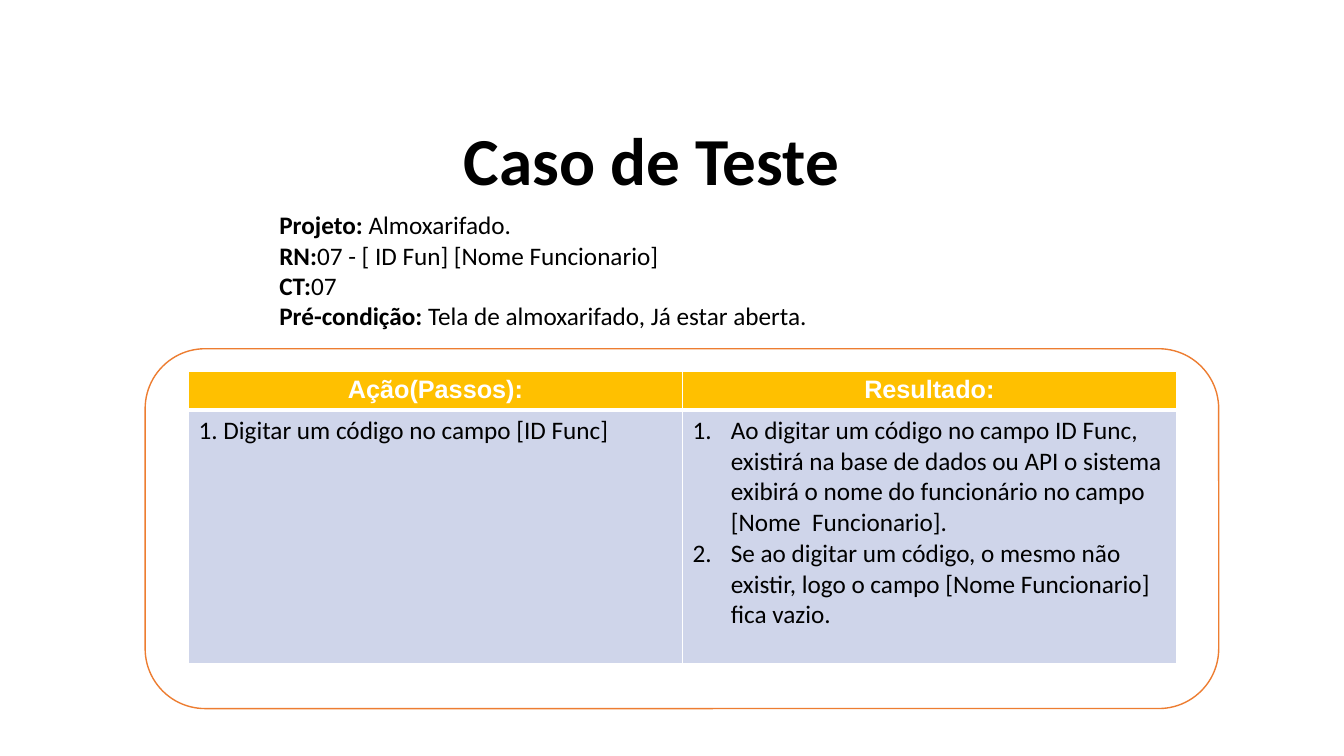
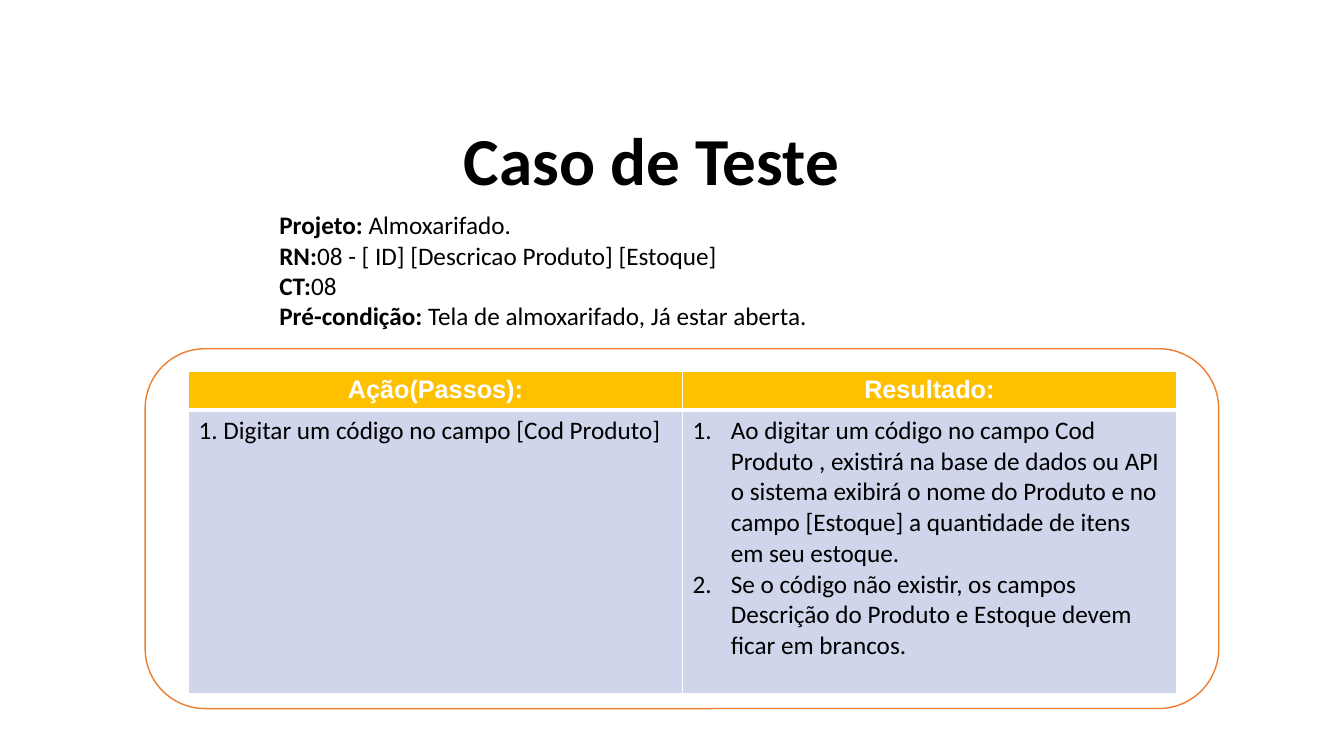
from dataclasses import dataclass

from lxml import etree
from pptx import Presentation
from pptx.dml.color import RGBColor
from pptx.enum.shapes import MSO_SHAPE
from pptx.enum.text import MSO_ANCHOR, MSO_AUTO_SIZE, PP_ALIGN
from pptx.oxml.ns import qn
from pptx.util import Inches, Pt

ROUNDED = MSO_SHAPE.ROUNDED_RECTANGLE
TOP = MSO_ANCHOR.TOP
NO_FIT = MSO_AUTO_SIZE.NONE
LEFT, CENTER = PP_ALIGN.LEFT, PP_ALIGN.CENTER

# Shared style
COLORS = {
    "white": "FFFFFF",
    "text": "000000",
    "frame": "ED7D31",
    "header": "FFC000",
    "cell": "CFD5EA",
}
TEXT_FONT, HEADER_FONT = "Calibri", "Arial"
TITLE_SIZE, TEXT_SIZE = 48, 18
WIDTH, HEIGHT = Inches(13.33), Inches(7.5)
TITLE = "Caso de Teste"
HEADERS = ("Ação(Passos):", "Resultado:")
LIST_INDENT = Inches(0.38)


@dataclass(frozen=True)
class Area:
    """Left, top, width and height as percentages of the slide."""
    x: float
    y: float
    w: float
    h: float

    def emu(self) -> tuple[int, int, int, int]:
        return (int(WIDTH * self.x / 100), int(HEIGHT * self.y / 100),
                int(WIDTH * self.w / 100), int(HEIGHT * self.h / 100))


@dataclass(frozen=True)
class TestCase:
    number: str
    fields: str
    action: str
    results: tuple[str, ...]
    body_height: float  # percentage of the slide's height


TITLE_AREA = Area(33.75, 14.93, 33.6, 12.13)
DETAILS_AREA = Area(20.03, 27.07, 63, 21.6)
FRAME_AREA = Area(10.8, 46.13, 79.88, 47.6)
TABLE_X, TABLE_Y, TABLE_W, HEADER_H = 14.03, 49.07, 73.5, 5.2

CASES = (
    TestCase(
        "07", "[ ID Fun] [Nome Funcionario]",
        "1. Digitar um código no campo [ID Func]",
        ("Ao digitar um código no campo ID Func, existirá na base de dados ou "
         "API o sistema exibirá o nome do funcionário no campo "
         "[Nome  Funcionario].",
         "Se ao digitar um código, o mesmo não existir, logo o campo "
         "[Nome Funcionario] fica vazio."),
        33.47),
    TestCase(
        "08", "[ ID] [Descricao Produto] [Estoque]",
        "1. Digitar um código no campo [Cod Produto]",
        ("Ao digitar um código no campo Cod Produto , existirá na base de "
         "dados ou API o sistema exibirá o nome do Produto e no campo "
         "[Estoque] a quantidade de itens em seu estoque.",
         "Se o código não existir, os campos Descrição do Produto e Estoque "
         "devem ficar em brancos."),
        37.47),
)


def rgb(name: str) -> RGBColor:
    return RGBColor.from_string(COLORS[name])


def style_run(r, size: int = TEXT_SIZE, bold: bool = False,
              font: str = TEXT_FONT, color: str = "text") -> None:
    r.font.name, r.font.size, r.font.bold = font, Pt(size), bold
    r.font.color.rgb = rgb(color)


def set_bullet(p, numbered: bool) -> None:
    pPr = p._p.get_or_add_pPr()
    indent = LIST_INDENT if numbered else 0
    pPr.set("marL", str(indent))
    pPr.set("indent", str(-indent))
    if numbered:
        etree.SubElement(pPr, qn("a:buFont"), typeface="+mj-lt")
        etree.SubElement(pPr, qn("a:buAutoNum"), type="arabicPeriod")
    else:
        etree.SubElement(pPr, qn("a:buNone"))


def place(sp, area: Area):
    """Move a placeholder and return its text frame, ready for text."""
    sp.left, sp.top, sp.width, sp.height = area.emu()
    tf = sp.text_frame
    tf.word_wrap, tf.auto_size, tf.vertical_anchor = True, NO_FIT, TOP
    return tf


def add_title(s) -> None:
    tf = place(s.shapes.title, TITLE_AREA)
    tf.text = TITLE
    p = tf.paragraphs[0]
    p.alignment = LEFT
    style_run(p.runs[0], TITLE_SIZE, bold=True)


def add_details(s, case: TestCase) -> None:
    details = (
        ("Projeto: ", "Almoxarifado."),
        ("RN:", f"{case.number} - {case.fields}"),
        ("CT:", case.number),
        ("Pré-condição: ", "Tela de almoxarifado, Já estar aberta."),
    )
    tf = place(s.placeholders[1], DETAILS_AREA)
    for i, (label, value) in enumerate(details):
        p = tf.add_paragraph() if i else tf.paragraphs[0]
        p.space_before = Pt(0)
        set_bullet(p, numbered=False)
        for text, bold in ((label, True), (value, False)):
            r = p.add_run()
            r.text = text
            style_run(r, bold=bold)


def add_frame(s) -> None:
    sp = s.shapes.add_shape(ROUNDED, *FRAME_AREA.emu())
    sp.shadow.inherit = False
    sp.fill.solid()
    sp.fill.fore_color.rgb = rgb("white")
    sp.line.color.rgb = rgb("frame")
    sp.line.width = Pt(1)
    # The frame lies behind the title and the details
    sp.element.getparent().insert(2, sp.element)


def style_cell(cell, fill: str, top: int, bottom: int) -> None:
    cell.fill.solid()
    cell.fill.fore_color.rgb = rgb(fill)
    tcPr = cell._tc.get_or_add_tcPr()
    sides = (("L", 1), ("R", 1), ("T", top), ("B", bottom))
    for i, (side, width) in enumerate(sides):
        ln = etree.Element(qn(f"a:ln{side}"), w=str(Pt(width)))
        solid = etree.SubElement(ln, qn("a:solidFill"))
        etree.SubElement(solid, qn("a:srgbClr"), val=COLORS["white"])
        tcPr.insert(i, ln)


def add_steps_table(s, case: TestCase) -> None:
    area = Area(TABLE_X, TABLE_Y, TABLE_W, HEADER_H + case.body_height)
    table = s.shapes.add_table(2, len(HEADERS), *area.emu()).table
    for row, share in zip(table.rows, (HEADER_H, case.body_height)):
        row.height = int(HEIGHT * share / 100)

    bodies = (case.action, "\n".join(case.results))
    for col, (header, body) in enumerate(zip(HEADERS, bodies)):
        # Header cell
        cell = table.cell(0, col)
        style_cell(cell, "header", top=1, bottom=3)
        cell.text_frame.text = header
        p = cell.text_frame.paragraphs[0]
        p.alignment = CENTER
        style_run(p.runs[0], bold=True, font=HEADER_FONT, color="white")

        # Body cell: the results are a numbered list
        cell = table.cell(1, col)
        style_cell(cell, "cell", top=3, bottom=1)
        cell.text_frame.text = body
        for p in cell.text_frame.paragraphs:
            set_bullet(p, numbered=col == 1)
            style_run(p.runs[0])


def main() -> None:
    prs = Presentation()
    prs.slide_width, prs.slide_height = WIDTH, HEIGHT
    for case in CASES:
        s = prs.slides.add_slide(prs.slide_layouts[1])
        add_frame(s)
        add_details(s, case)
        add_steps_table(s, case)
        add_title(s)
    prs.save("out.pptx")


if __name__ == "__main__":
    main()
